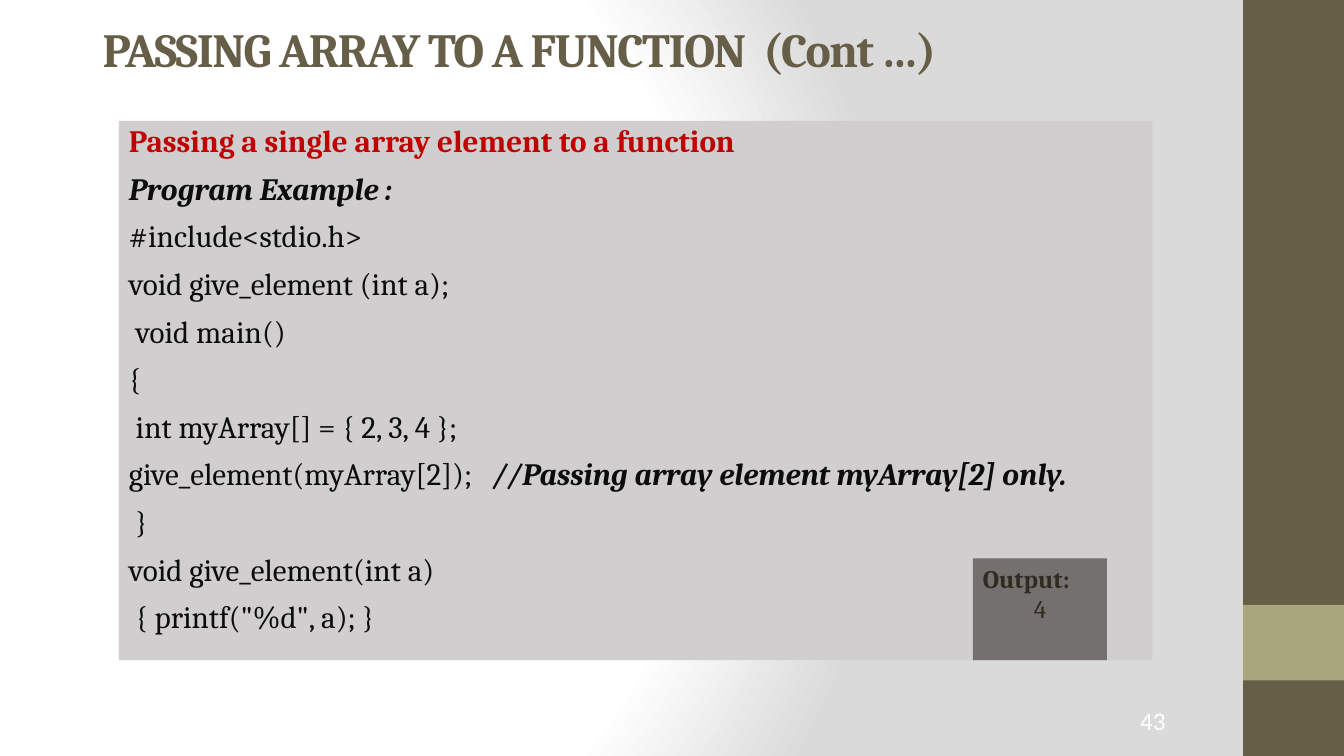
from pptx import Presentation
from pptx import util as u
from pptx.dml.color import RGBColor
from pptx.enum import shapes, text
from pptx.oxml import parse_xml

NS = "http://schemas.openxmlformats.org/drawingml/2006/main"
DARK, SAGE, INK = "675E47", "A9A57C", "0C0C0C"

CODE = [
    "#include<stdio.h>",
    "void give_element (int a);",
    " void main()",
    "{",
    " int myArray[] = { 2, 3, 4 };",
    ("give_element(myArray[2]);   ", "//Passing array element myArray[2] only."),
    " }",
    "void give_element(int a)",
    ' { printf("%d", a); }',
]


def color(code):
    """Turn a hex string into a colour."""
    return RGBColor.from_string(code)


def block(slide, box, fill):
    """Draw a plain filled rectangle."""
    shape = slide.shapes.add_shape(shapes.MSO_SHAPE.RECTANGLE, *map(u.Inches, box))
    shape.shadow.inherit = False
    shape.fill.solid()
    shape.fill.fore_color.rgb = color(fill)
    shape.line.fill.background()
    return shape


def setup(shape, anchor=text.MSO_ANCHOR.TOP):
    """Wrap and anchor the text of a shape and return its frame."""
    frame = shape.text_frame
    frame.word_wrap = True
    frame.vertical_anchor = anchor
    return frame


def add_run(para, words, size, code, bold=False, italic=False, face="Cambria"):
    """Add one styled run to a paragraph."""
    run = para.add_run()
    run.text = words
    font = run.font
    font.name, font.size = face, u.Pt(size)
    font.bold, font.italic = bold, italic
    font.color.rgb = color(code)
    return run


def backdrop(slide):
    """Fill the background with a radial gradient."""
    fill = slide.background.fill
    fill.gradient()
    stops = "".join(
        f'<a:gs pos="{pos * 1000}"><a:srgbClr val="{code}"/></a:gs>'
        for pos, code in [(0, "FFFFFF"), (75, "FFFFFF"), (100, "DADADA")]
    )
    grad = slide.background._cSld.find(f".//{{{NS}}}gradFill")
    for child in list(grad):
        grad.remove(child)
    new = parse_xml(
        f'<a:gradFill xmlns:a="{NS}"><a:gsLst>{stops}</a:gsLst><a:path path="circle">'
        '<a:fillToRect l="20000" t="50000" r="100000" b="50000"/></a:path></a:gradFill>'
    )
    for child in list(new):
        grad.append(child)


def sidebar(slide, box):
    """Draw the side band and its accent block."""
    left, top, width, height = box
    block(slide, box, DARK)
    block(slide, (left, top + 0.8 * height, width, 0.1 * height), SAGE)


def heading(slide, box):
    """Write the slide title."""
    frame = setup(slide.shapes.add_textbox(*map(u.Inches, box)), text.MSO_ANCHOR.MIDDLE)
    frame.margin_bottom = u.Inches(0.63)
    para = frame.paragraphs[0]
    para.line_spacing = 0.9
    run = add_run(para, "PASSING ARRAY TO A FUNCTION  (Cont …)", 34, DARK, True)
    run.font._element.set("spc", "-100")


def listing(slide, box):
    """Write the program panel."""
    frame = setup(block(slide, box, "D0CECE"))
    lines = [
        [("Passing a single array element to a function", "C00000", True, False)],
        [("Program Example :", INK, True, True)],
    ]
    for line in CODE:
        code, *note = [line] if isinstance(line, str) else line
        lines.append([(code, INK, False, False)] + [(n, INK, True, True) for n in note])
    for num, line in enumerate(lines):
        para = frame.add_paragraph() if num else frame.paragraphs[0]
        para.alignment = text.PP_ALIGN.LEFT
        para.line_spacing = 0.9
        if num:
            para.space_before = u.Pt(10)
        for words, code, bold, italic in line:
            add_run(para, words, 22.2, code, bold, italic)


def output(slide, box):
    """Write the program output box."""
    frame = setup(block(slide, box, "757070"))
    para = frame.paragraphs[0]
    para.alignment = text.PP_ALIGN.LEFT
    add_run(para, "Output:", 18, "2F2B20", True)
    para = frame.add_paragraph()
    para.alignment = text.PP_ALIGN.CENTER
    add_run(para, "4", 18, "2F2B20")


def number(slide, box):
    """Write the page number."""
    frame = setup(slide.shapes.add_textbox(*map(u.Inches, box)), text.MSO_ANCHOR.MIDDLE)
    para = frame.paragraphs[0]
    para.alignment = text.PP_ALIGN.RIGHT
    add_run(para, "43", 18, "FFFFFF", face="Calibri")


def main():
    """Build and save the slide."""
    deck = Presentation()
    deck.slide_width, deck.slide_height = u.Inches(13.33), u.Inches(7.5)
    slide = deck.slides.add_slide(deck.slide_layouts[6])
    backdrop(slide)
    sidebar(slide, (12.33, 0, 1, 7.5))
    heading(slide, (0.92, 0.28, 10.89, 1.05))
    listing(slide, (1.18, 1.2, 10.25, 5.35))
    number(slide, (8.66, 6.95, 3, 0.4))
    output(slide, (9.65, 5.54, 1.33, 1.01))
    deck.save("out.pptx")


if __name__ == "__main__":
    main()
